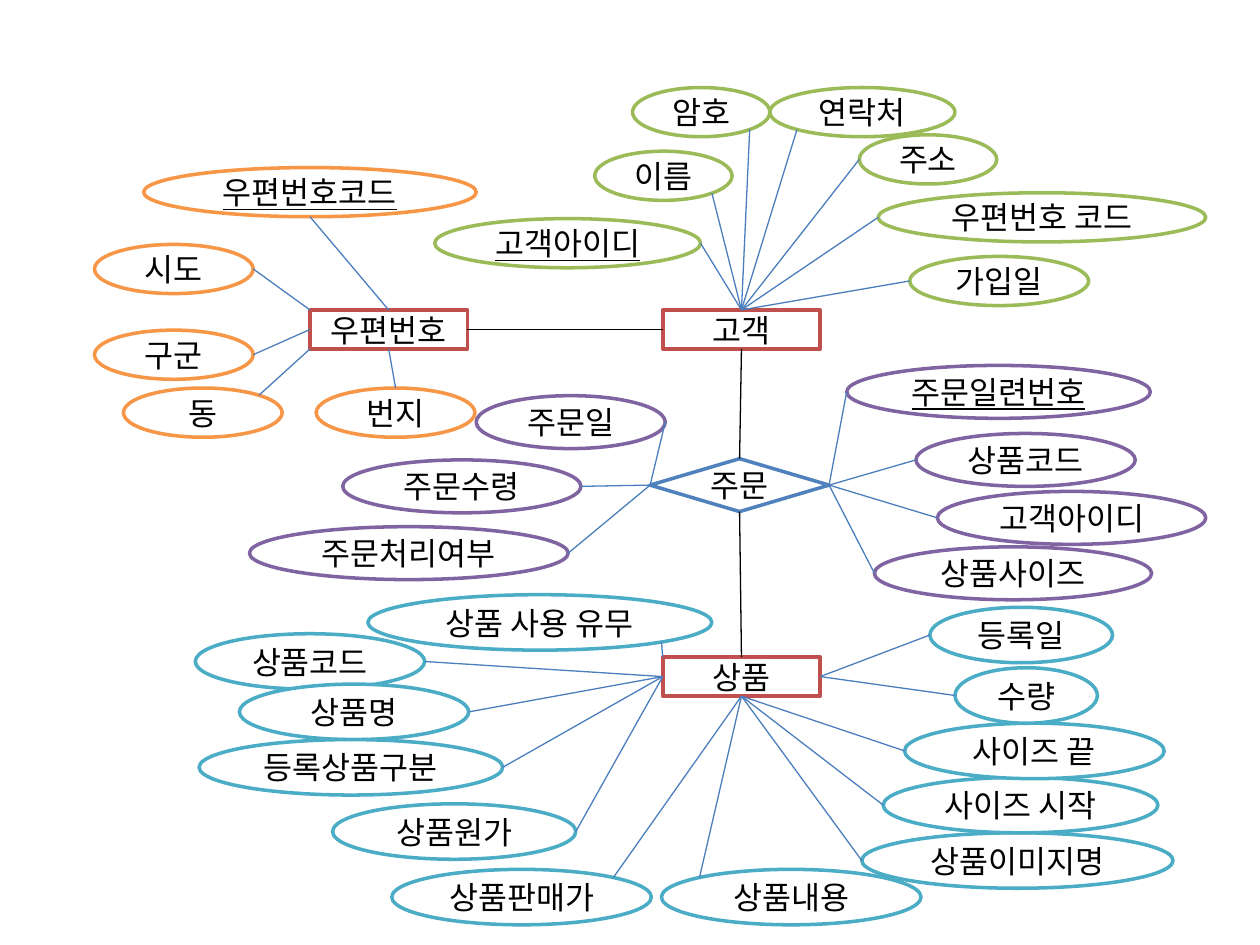
from dataclasses import dataclass

from lxml import etree
from pptx import Presentation
from pptx import util as u
from pptx.dml.color import RGBColor
from pptx.enum import shapes, text
from pptx.oxml.ns import qn

# The slide is a grid of 100 columns by 75 rows.
CELL = u.Inches(0.1)
COLUMNS, ROWS = 100, 75
FONT = "Noto Sans CJK KR"
WHITE, BLACK, RED, BLUE = "FFFFFF", "000000", "C0504D", "4F81BD"
ORANGE, GREEN, PURPLE, TEAL = "F79646", "9BBB59", "8064A2", "4BACC6"
SPOKE = "4B7EBC"

RECTANGLE = shapes.MSO_SHAPE.RECTANGLE
DIAMOND = shapes.MSO_SHAPE.DIAMOND
OVAL = shapes.MSO_SHAPE.OVAL

SITES = {"N": 0, "W": 1, "S": 2, "E": 3}
STEPS = {"N": (0, -1), "S": (0, 1), "W": (-1, 0), "E": (1, 0),
         "NW": (-1, -1), "NE": (1, -1), "SW": (-1, 1), "SE": (1, 1)}


@dataclass
class Node:
    label: str
    column: float
    row: float
    width: float
    height: float = 3.1
    kind: int = RECTANGLE
    color: str = RED


@dataclass
class Attribute:
    """An oval; its spoke runs from the owner's side to its own end."""
    label: str
    column: float
    row: float
    width: float
    side: str
    end: str
    key: bool = False


@dataclass
class Group:
    owner: str
    color: str
    height: float
    attributes: list[Attribute]


NODES = [
    Node("우편번호", 24.6, 24.6, 12.5),
    Node("상품", 52.6, 52.15, 12.5),
    Node("고객", 52.6, 24.6, 12.5),
    Node("주문", 51.6, 36.4, 14.2, 4.2, DIAMOND, BLUE),
]
RELATIONS = [("우편번호", "E", "고객", "W"),
             ("고객", "S", "주문", "N"),
             ("주문", "S", "상품", "N")]
GROUPS = [
    Group("우편번호", ORANGE, 3.9, [
        Attribute("우편번호코드", 11.4, 13.3, 26.4, "N", "S", key=True),
        Attribute("시도", 7.5, 19.4, 12.6, "NW", "E"),
        Attribute("구군", 7.5, 26.2, 12.6, "W", "E"),
        Attribute("번지", 25.1, 30.8, 12.6, "S", "N"),
        Attribute("동", 9.8, 30.8, 12.6, "SW", "NE"),
    ]),
    Group("고객", GREEN, 3.9, [
        Attribute("주소", 68.2, 10.7, 10.9, "N", "W"),
        Attribute("이름", 47.2, 12, 10.9, "N", "SE"),
        Attribute("우편번호 코드", 69.7, 15.3, 26, "N", "W"),
        Attribute("연락처", 61.1, 6.95, 14.7, "N", "SW"),
        Attribute("암호", 50.2, 6.95, 10.9, "N", "SE"),
        Attribute("고객아이디", 34.5, 17.35, 21.1, "N", "E", key=True),
        Attribute("가입일", 72.2, 20.35, 14.2, "N", "W"),
    ]),
    Group("주문", PURPLE, 4.2, [
        Attribute("주문일", 37.8, 31.4, 15, "W", "E"),
        Attribute("주문수령", 27.2, 36.5, 18.9, "W", "E"),
        Attribute("주문처리여부", 19.8, 41.8, 25.3, "W", "E"),
        Attribute("주문일련번호", 67.2, 29, 24.1, "E", "W", key=True),
        Attribute("상품코드", 72.7, 34.4, 17.4, "E", "W"),
        Attribute("고객아이디", 74.4, 39, 21.3, "E", "W"),
        Attribute("상품사이즈", 69.4, 43.4, 22, "E", "W"),
    ]),
    Group("상품", TEAL, 4.4, [
        Attribute("상품코드", 15.5, 50.3, 18.2, "W", "E"),
        Attribute("상품명", 19, 54.3, 18.2, "W", "E"),
        Attribute("등록상품구분", 15.8, 58.7, 24.1, "W", "E"),
        Attribute("상품원가", 26.4, 63.8, 19.3, "W", "E"),
        Attribute("상품판매가", 31.1, 69, 20.6, "S", "NE"),
        Attribute("상품내용", 52.5, 69, 20.6, "S", "NW"),
        Attribute("상품이미지명", 68.4, 66.1, 24.7, "S", "W"),
        Attribute("사이즈 시작", 70.1, 61.7, 21.8, "S", "W"),
        Attribute("사이즈 끝", 71.8, 57.4, 20.6, "S", "W"),
        Attribute("수량", 75.8, 53, 11.3, "E", "W"),
        Attribute("상품 사용 유무", 29.2, 47.2, 27.3, "NW", "SE"),
        Attribute("등록일", 73.8, 48.2, 14.5, "E", "W"),
    ]),
]


def rgb(value: str) -> RGBColor:
    return RGBColor.from_string(value)


def draw_node(page, node: Node, underline: bool = False):
    lengths = (node.column, node.row, node.width, node.height)
    box = page.shapes.add_shape(node.kind, *(round(n * CELL) for n in lengths))
    box.shadow.inherit = False
    box.fill.solid()
    box.fill.fore_color.rgb = rgb(WHITE)
    box.line.color.rgb = rgb(node.color)
    box.line.width = u.Pt(2)
    frame = box.text_frame
    frame.margin_left = frame.margin_right = 0
    frame.margin_top = frame.margin_bottom = 0
    frame.word_wrap = False
    frame.vertical_anchor = text.MSO_ANCHOR.MIDDLE
    frame.text = node.label
    para = frame.paragraphs[0]
    para.alignment = text.PP_ALIGN.CENTER
    span = para.runs[0]
    span.font.size = u.Pt(18)
    span.font.name = FONT
    span.font.color.rgb = rgb(BLACK)
    if underline:
        span.font.underline = True
    properties = span.font._element
    etree.SubElement(properties, qn("a:ea")).set("typeface", FONT)
    return box


def edge_point(box, direction: str) -> tuple[int, int]:
    """Point of the outline in a compass direction from the centre."""
    across, down = STEPS[direction]
    on_curve = box.auto_shape_type == OVAL and across and down
    reach = 0.5 ** 0.5 / 2 if on_curve else 0.5
    return (round(box.left + box.width * (0.5 + reach * across)),
            round(box.top + box.height * (0.5 + reach * down)))


def draw_line(page, start, side: str, finish, end: str, color: str) -> None:
    line = page.shapes.add_connector(
        shapes.MSO_CONNECTOR.STRAIGHT,
        *edge_point(start, side), *edge_point(finish, end))
    line.line.color.rgb = rgb(color)
    line.line.width = u.Pt(0.75)
    etree.SubElement(line._element.spPr, qn("a:effectLst"))
    if side in SITES:
        line.begin_connect(start, SITES[side])
    if end in SITES and finish.auto_shape_type != OVAL:
        line.end_connect(finish, SITES[end])


def draw_group(page, group: Group, owner) -> None:
    ovals = [draw_node(page, Node(item.label, item.column, item.row, item.width,
                                  group.height, OVAL, group.color), item.key)
             for item in group.attributes]
    for item, oval in zip(group.attributes, ovals):
        draw_line(page, owner, item.side, oval, item.end, SPOKE)


def main() -> None:
    deck = Presentation()
    deck.slide_width, deck.slide_height = COLUMNS * CELL, ROWS * CELL
    page = deck.slides.add_slide(deck.slide_layouts[6])
    boxes = {node.label: draw_node(page, node) for node in NODES}
    for start, side, finish, end in RELATIONS:
        draw_line(page, boxes[start], side, boxes[finish], end, BLACK)
    for group in GROUPS:
        draw_group(page, group, boxes[group.owner])
    deck.save("out.pptx")


if __name__ == "__main__":
    main()
